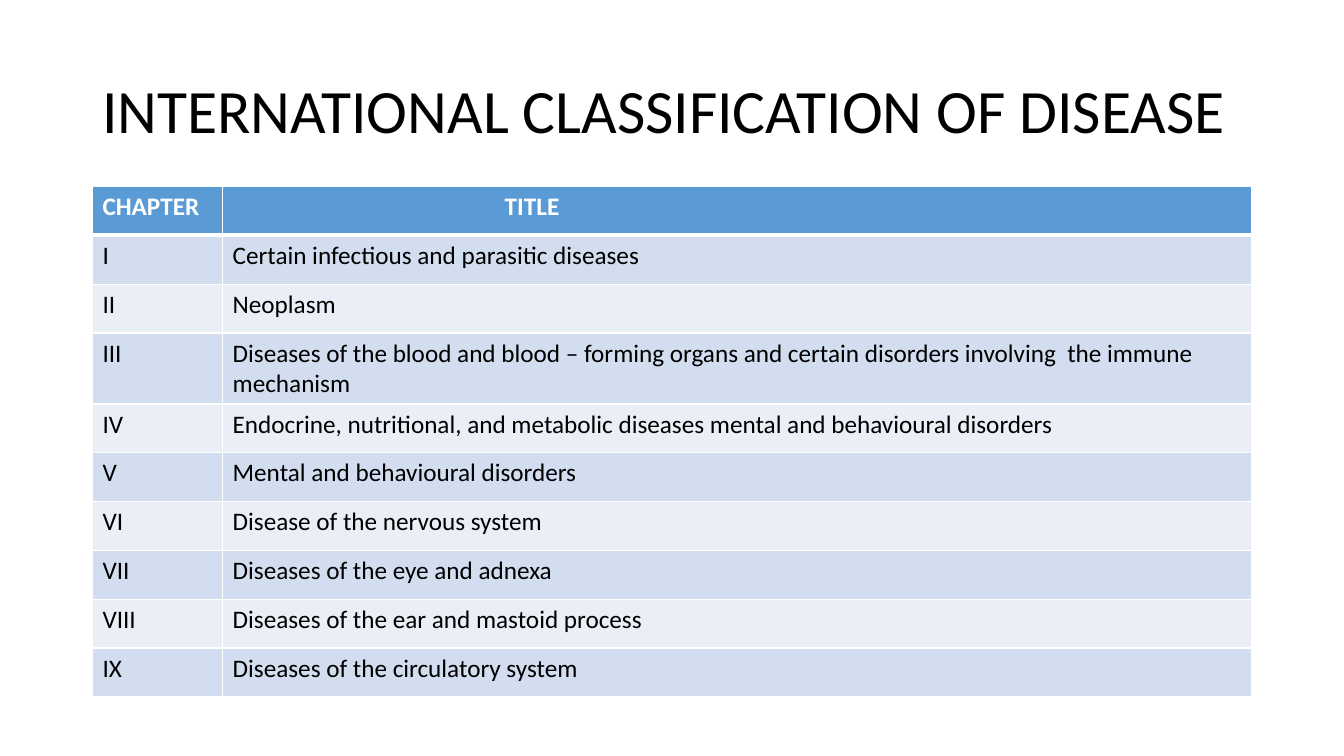
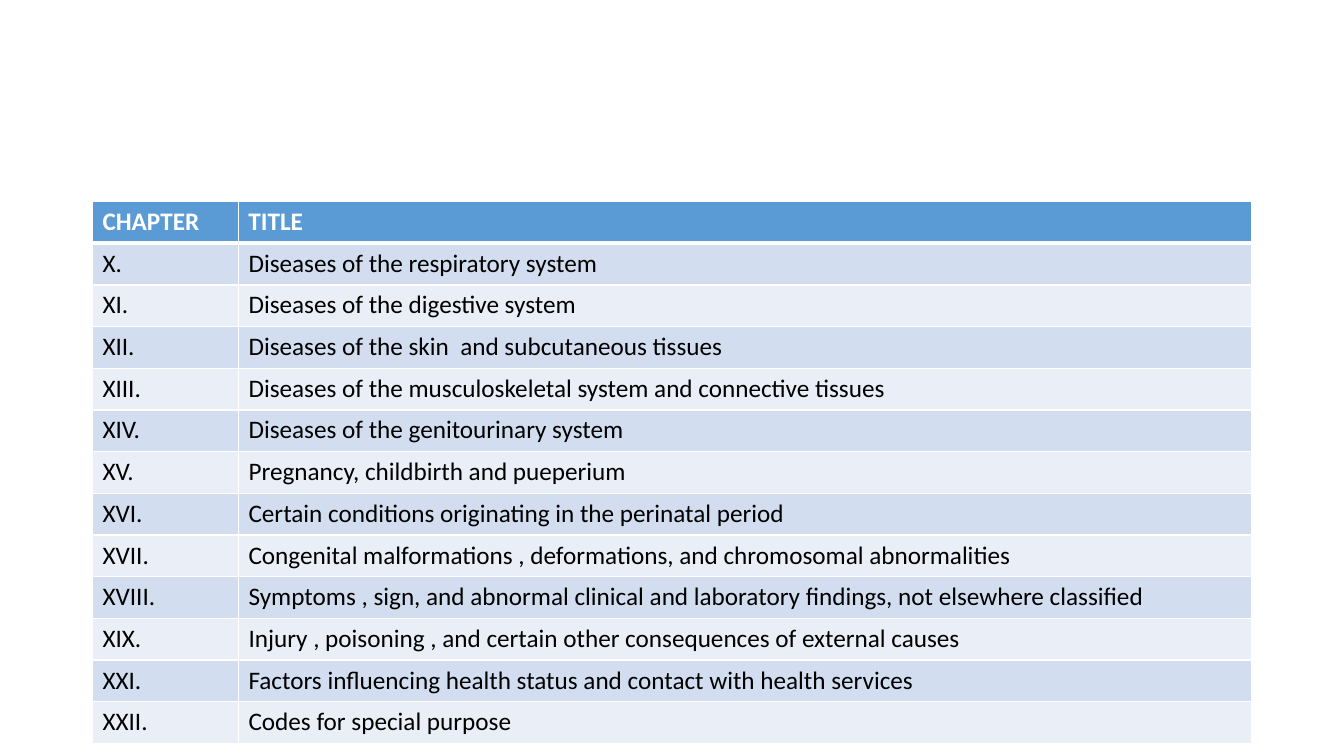
from dataclasses import dataclass

from lxml.etree import SubElement
from pptx import Presentation
from pptx.dml.color import RGBColor as Rgb
from pptx.enum.text import MSO_ANCHOR as Anchor
from pptx.oxml.ns import qn
from pptx.util import Cm, Pt


@dataclass(frozen=True)
class Theme:
    font: str = "Calibri"
    title_size: int = 44
    table_size: int = 18
    ink: str = "000000"
    paper: str = "FFFFFF"
    header: str = "5B9BD5"
    bands: tuple = ("D2DEEF", "EAEFF7")
    rule: int = 1
    header_rule: int = 3


theme = Theme()
LEFT, WIDTH = 2.33, 29.21


def write_text(frame, text, size=theme.table_size, color=theme.ink, bold=False, spacing=1.0):
    paragraph = frame.paragraphs[0]
    paragraph.line_spacing = spacing
    run = paragraph.add_run()
    run.text = text
    run.font.name = theme.font
    run.font.size = Pt(size)
    run.font.bold = bold
    run.font.color.rgb = Rgb.from_string(color)


def set_borders(cell, top, bottom):
    properties = cell._tc.get_or_add_tcPr()
    sides = {"a:lnL": theme.rule, "a:lnR": theme.rule, "a:lnT": top, "a:lnB": bottom}
    for position, (side, weight) in enumerate(sides.items()):
        border = SubElement(properties, qn(side), w=str(Pt(weight)))
        SubElement(SubElement(border, qn("a:solidFill")), qn("a:srgbClr"), val=theme.paper)
        properties.insert(position, border)


pages = [
    {
        "title": "INTERNATIONAL CLASSIFICATION OF DISEASE",
        "top": 4.7,
        "chapter_width": 3.28,
        "row_height": 1.23,
        "tall_rows": {"III": 1.79},
        "heading_inset": 7.11,
        "chapters": [
            ("I", "Certain infectious and parasitic diseases"),
            ("II", "Neoplasm"),
            ("III", "Diseases of the blood and blood – forming organs and certain "
                    "disorders involving  the immune mechanism"),
            ("IV", "Endocrine, nutritional, and metabolic diseases mental and behavioural disorders"),
            ("V", "Mental and behavioural disorders"),
            ("VI", "Disease of the nervous system"),
            ("VII", "Diseases of the eye and adnexa"),
            ("VIII", "Diseases of the ear and mastoid process"),
            ("IX", "Diseases of the circulatory system"),
        ],
    },
    {
        "title": None,
        "top": 5.08,
        "chapter_width": 3.68,
        "row_height": 1.05,
        "tall_rows": {},
        "heading_inset": 0.25,
        "chapters": [
            ("X.", "Diseases of the respiratory system"),
            ("XI.", "Diseases of the digestive system"),
            ("XII.", "Diseases of the skin  and subcutaneous tissues"),
            ("XIII.", "Diseases of the musculoskeletal system and connective tissues"),
            ("XIV.", "Diseases of the genitourinary system"),
            ("XV.", "Pregnancy, childbirth and pueperium"),
            ("XVI.", "Certain conditions originating in the perinatal period"),
            ("XVII.", "Congenital malformations , deformations, and chromosomal abnormalities"),
            ("XVIII.", "Symptoms , sign, and abnormal clinical and laboratory findings, "
                       "not elsewhere classified"),
            ("XIX.", "Injury , poisoning , and certain other consequences of external causes"),
            ("XXI.", "Factors influencing health status and contact with health services"),
            ("XXII.", "Codes for special purpose"),
        ],
    },
]

deck = Presentation()
deck.slide_width, deck.slide_height = Cm(33.87), Cm(19.05)

for page in pages:
    slide = deck.slides.add_slide(deck.slide_layouts[6])

    if page["title"]:
        heading = slide.shapes.add_textbox(Cm(LEFT), Cm(1.01), Cm(WIDTH), Cm(3.68)).text_frame
        heading.word_wrap = True
        heading.vertical_anchor = Anchor.MIDDLE
        write_text(heading, page["title"], size=theme.title_size, spacing=0.9)

    entries = [("CHAPTER", "TITLE"), *page["chapters"]]
    heights = [page["tall_rows"].get(chapter, page["row_height"]) for chapter, _ in entries]
    classification = slide.shapes.add_table(
        len(entries), 2, Cm(LEFT), Cm(page["top"]), Cm(WIDTH), Cm(sum(heights))
    ).table
    classification.columns[0].width = Cm(page["chapter_width"])
    classification.columns[1].width = Cm(WIDTH - page["chapter_width"])

    for row, (entry, height) in enumerate(zip(entries, heights)):
        classification.rows[row].height = Cm(height)
        is_header = row == 0
        fill = theme.header if is_header else theme.bands[(row - 1) % 2]
        for column, text in enumerate(entry):
            cell = classification.cell(row, column)
            cell.fill.solid()
            cell.fill.fore_color.rgb = Rgb.from_string(fill)
            set_borders(
                cell,
                top=theme.header_rule if row == 1 else theme.rule,
                bottom=theme.header_rule if is_header else theme.rule,
            )
            write_text(
                cell.text_frame, text,
                color=theme.paper if is_header else theme.ink, bold=is_header,
            )
    classification.cell(0, 1).margin_left = Cm(page["heading_inset"])

deck.save("out.pptx")
